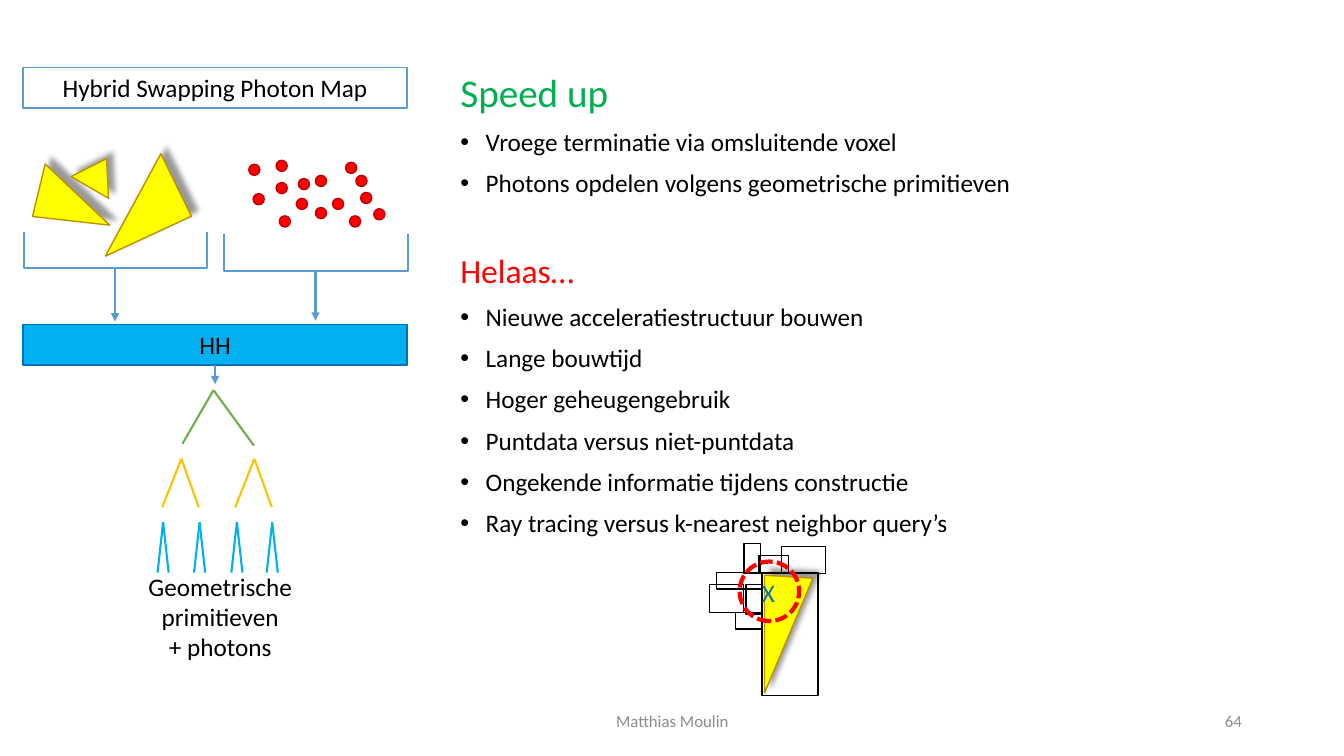
from lxml.etree import SubElement
from pptx import Presentation
from pptx.dml.color import RGBColor
from pptx.enum.dml import MSO_LINE
from pptx.enum.shapes import MSO_CONNECTOR, MSO_SHAPE
from pptx.enum.text import MSO_ANCHOR, PP_ALIGN
from pptx.oxml.ns import qn
from pptx.util import Cm, Pt

FONT = "Calibri"
BLACK = RGBColor(0x00, 0x00, 0x00)
WHITE = RGBColor(0xFF, 0xFF, 0xFF)
GREY = RGBColor(0x8C, 0x8C, 0x8C)
YELLOW = RGBColor(0xFF, 0xFF, 0x00)
OCHRE = RGBColor(0xBF, 0x90, 0x00)
RED = RGBColor(0xFF, 0x00, 0x00)
DARK_RED = RGBColor(0xC0, 0x00, 0x00)
STEEL = RGBColor(0x5B, 0x9B, 0xD5)
SKY = RGBColor(0x00, 0xB0, 0xF0)
BLUE = RGBColor(0x00, 0x70, 0xC0)
LEAF_GREEN = RGBColor(0x70, 0xAD, 0x47)
AMBER = RGBColor(0xFF, 0xC0, 0x00)
GREEN = RGBColor(0x00, 0xB0, 0x50)

PHOTON_SIZE = 0.28
PHOTONS = [
    (6.96, 4.6), (7.52, 4.5), (7.95, 4.42), (7.95, 5.23), (8.38, 5),
    (6.38, 4.88), (8.81, 5.44), (8.71, 4.09), (7.04, 5.44), (9.42, 5.26),
    (6.27, 4.14), (8.97, 4.42), (6.96, 4.04), (9.09, 4.85), (7.47, 5),
]
SCENE_TRIANGLES = [
    ((0.89, 4.22, 1.96, 1.35), 6.4, 0.087),
    ((2.49, 3.99, 1.75, 2.39), 244, 0.026),
    ((1.93, 3.94, 1.09, 0.84), 30.2, 0.5),
]
VOXELS = [
    (19.2, 14.43, 1.42, 3.1), (18.8, 14.73, 0.41, 0.74),
    (18.54, 15.44, 0.66, 0.41), (17.88, 14.73, 0.86, 0.71),
    (19.13, 14, 0.74, 0.46), (18.06, 14.43, 1.14, 0.41),
    (18.75, 13.69, 0.41, 0.76), (19.69, 13.77, 1.12, 0.69),
]
SPEED_UPS = [
    "Vroege terminatie via omsluitende voxel",
    "Photons opdelen volgens geometrische primitieven",
]
DRAWBACKS = [
    "Nieuwe acceleratiestructuur bouwen",
    "Lange bouwtijd",
    "Hoger geheugengebruik",
    "Puntdata versus niet-puntdata",
    "Ongekende informatie tijdens constructie",
    "Ray tracing versus k-nearest neighbor query’s",
]


def format_paragraph(paragraph, size, color, align):
    paragraph.alignment = align
    for run in paragraph.runs:
        run.font.name = FONT
        run.font.size = Pt(size)
        run.font.color.rgb = color


def add_outline(slide, preset, box, line, fill=None, width=1, rotation=0):
    outline = slide.shapes.add_shape(preset, *map(Cm, box))
    outline.shadow.inherit = False
    outline.rotation = rotation
    outline.line.color.rgb = line
    outline.line.width = Pt(width)
    if fill is None:
        outline.fill.background()
    else:
        outline.fill.solid()
        outline.fill.fore_color.rgb = fill
    return outline


def add_triangle(slide, box, rotation, apex):
    triangle = add_outline(slide, MSO_SHAPE.ISOSCELES_TRIANGLE, box, OCHRE, YELLOW, rotation=rotation)
    triangle.adjustments[0] = apex
    effects = triangle._element.spPr.find(qn("a:effectLst"))
    shadow = SubElement(effects, qn("a:outerShdw"), blurRad=str(Pt(4)), dist=str(Pt(6)),
                        dir="18900000", algn="bl", rotWithShape="0")
    shade = SubElement(shadow, qn("a:srgbClr"), val="000000")
    SubElement(shade, qn("a:alpha"), val="40000")


def add_brace(slide, box):
    brace = add_outline(slide, MSO_SHAPE.LEFT_BRACE, box, STEEL, width=1.5, rotation=270)
    brace.adjustments[0] = 0
    brace.adjustments[1] = 0.5


def add_bar(slide, top, text, line, fill):
    bar = add_outline(slide, MSO_SHAPE.RECTANGLE, (0.58, top, 9.68, 1.02), line, fill)
    bar.text_frame.text = text
    format_paragraph(bar.text_frame.paragraphs[0], 18, BLACK, PP_ALIGN.CENTER)
    return bar


def add_line(slide, start, end, color):
    line = slide.shapes.add_connector(MSO_CONNECTOR.STRAIGHT, *map(Cm, start + end))
    line.line.color.rgb = color
    line.line.width = Pt(1.5)
    SubElement(line._element.spPr, qn("a:effectLst"))
    return line


def add_arrow(slide, x, top, bottom):
    arrow = add_line(slide, (x, top), (x, bottom), STEEL)
    SubElement(arrow.line._get_or_add_ln(), qn("a:tailEnd"), type="triangle")
    return arrow


def add_fork(slide, apex, left, right, color):
    add_line(slide, apex, left, color)
    add_line(slide, apex, right, color)


def add_label(slide, box, text, size, color, align, anchor=MSO_ANCHOR.TOP):
    label = slide.shapes.add_textbox(*map(Cm, box))
    label.text_frame.word_wrap = True
    label.text_frame.vertical_anchor = anchor
    label.text_frame.text = text
    for paragraph in label.text_frame.paragraphs:
        format_paragraph(paragraph, size, color, align)


def format_outline_paragraph(paragraph, size, color, space, bulleted):
    format_paragraph(paragraph, size, color, PP_ALIGN.LEFT)
    paragraph.line_spacing = 0.9
    paragraph.space_before = Pt(space)
    if bulleted:
        properties = paragraph._p.get_or_add_pPr()
        properties.set("marL", str(Cm(0.64)))
        properties.set("indent", str(-Cm(0.64)))
        SubElement(properties, qn("a:buFont"), typeface="Arial")
        SubElement(properties, qn("a:buChar"), char="•")


def add_arguments(slide):
    entries = [("Speed up", 28, GREEN, 10, False)]
    entries += [(text, 18, BLACK, 10, True) for text in SPEED_UPS]
    entries += [("Helaas…", 24, RED, 40, False)]
    entries += [(text, 18, BLACK, 10, True) for text in DRAWBACKS]
    arguments = slide.shapes.add_textbox(Cm(11.35), Cm(1.73), Cm(22.3), Cm(14.63)).text_frame
    arguments.word_wrap = True
    arguments.text = "\n".join(entry[0] for entry in entries)
    for paragraph, entry in zip(arguments.paragraphs, entries):
        format_outline_paragraph(paragraph, *entry[1:])


def add_photon_map(slide):
    add_bar(slide, 1.7, "Hybrid Swapping Photon Map", STEEL, WHITE)
    for triangle in SCENE_TRIANGLES:
        add_triangle(slide, *triangle)
    for photon in PHOTONS:
        add_outline(slide, MSO_SHAPE.OVAL, photon + (PHOTON_SIZE, PHOTON_SIZE), DARK_RED, RED)
    add_brace(slide, (1.98, 4.45, 1.85, 4.62))
    add_brace(slide, (7.04, 4.52, 1.85, 4.62))
    add_arrow(slide, 2.9, 6.86, 8.1)
    add_arrow(slide, 7.95, 6.83, 8.08)
    hierarchy = add_bar(slide, 8.18, "HH", BLUE, SKY)
    add_arrow(slide, 5.42, 9.2, 9.68).begin_connect(hierarchy, 2)


def add_tree(slide):
    add_fork(slide, (5.38, 9.83), (4.6, 11.18), (6.4, 11.23), LEAF_GREEN)
    for x in (4.57, 6.41):
        add_fork(slide, (x, 11.56), (x - 0.48, 12.78), (x + 0.44, 12.78), AMBER)
    for x in (4.11, 5.03, 5.97, 6.86):
        add_fork(slide, (x, 13.16), (x - 0.14, 14.43), (x + 0.14, 14.43), SKY)
    add_label(slide, (2.59, 14.27, 5.92, 2.57), "Geometrische primitieven\n+ photons",
              18, BLACK, PP_ALIGN.CENTER)


def add_neighbor_query(slide):
    add_triangle(slide, (18.39, 15.37, 2.97, 1.22), 90, 0.026)
    for voxel in VOXELS:
        add_outline(slide, MSO_SHAPE.RECTANGLE, voxel, BLACK)
    add_label(slide, (18.95, 14.43, 2.41, 1.02), "X", 18, BLUE, PP_ALIGN.LEFT)
    radius = add_outline(slide, MSO_SHAPE.OVAL, (18.64, 14.15, 1.5, 1.5), RED, width=3, rotation=270)
    radius.line.dash_style = MSO_LINE.SQUARE_DOT


def main():
    presentation = Presentation()
    presentation.slide_width = Cm(33.87)
    presentation.slide_height = Cm(19.05)
    slide = presentation.slides.add_slide(presentation.slide_layouts[6])
    add_label(slide, (11.23, 17.65, 11.43, 1.02), "Matthias Moulin", 12, GREY,
              PP_ALIGN.CENTER, MSO_ANCHOR.MIDDLE)
    add_label(slide, (23.93, 17.65, 7.62, 1.02), "64", 12, GREY, PP_ALIGN.RIGHT, MSO_ANCHOR.MIDDLE)
    add_photon_map(slide)
    add_tree(slide)
    add_arguments(slide)
    add_neighbor_query(slide)
    presentation.save("out.pptx")


if __name__ == "__main__":
    main()
